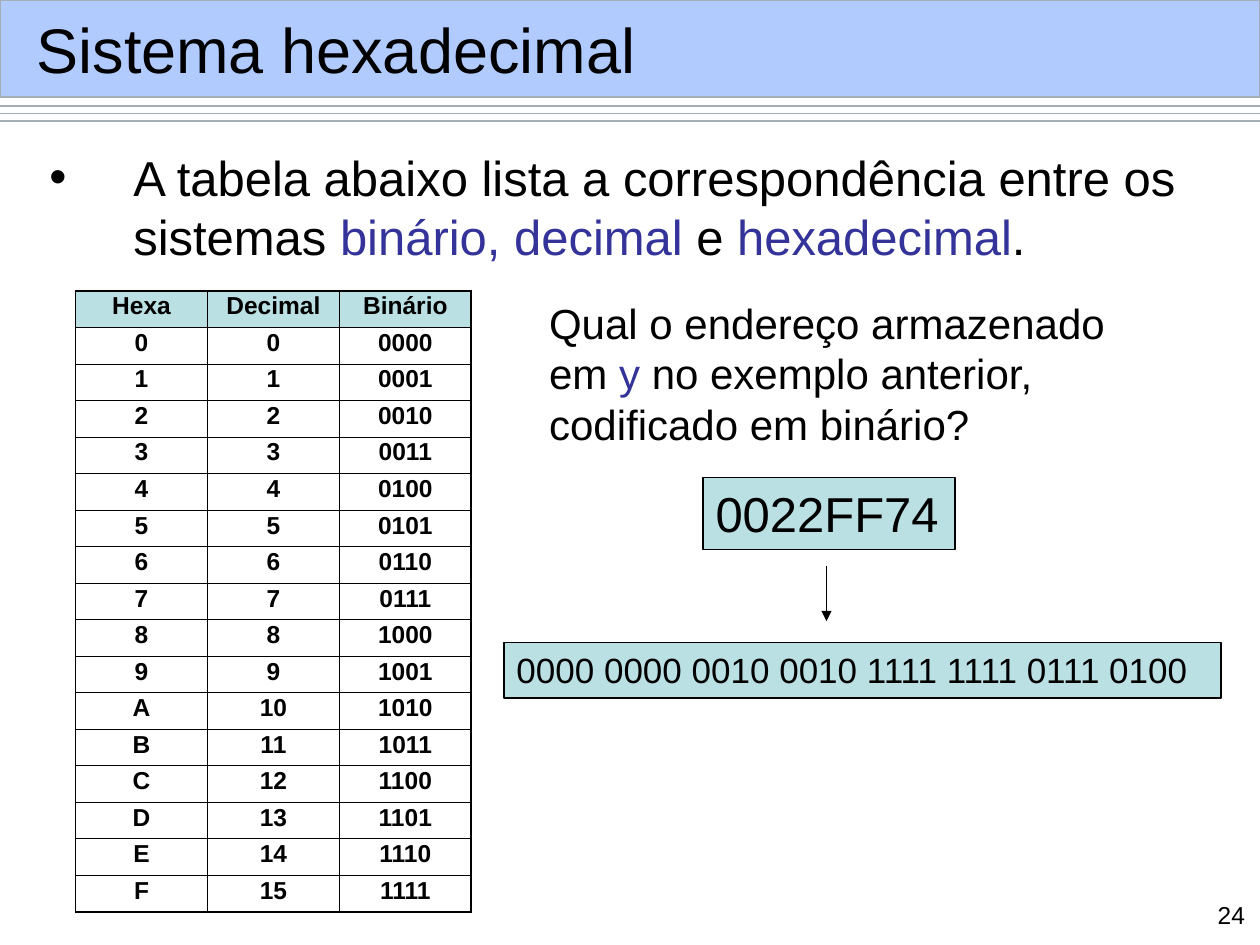
import pptx
import pptx.util
import pptx.dml.color
import pptx.enum.shapes
import pptx.enum.text
import pptx.oxml
import pptx.oxml.ns
from pptx.util import Pt

BLACK, WHITE, ACCENT = "000000", "FFFFFF", "333399"
TEAL, BLUE, GREY = "BBE0E3", "6699FF", "A3AEB7"
FONT = "Arial"
THICK, THIN = 1.08, 0.45

TITLE = "Sistema hexadecimal"
INTRO = [
    ("A tabela abaixo lista a correspondência entre os sistemas ", BLACK),
    ("binário, decimal ", ACCENT),
    ("e", BLACK),
    (" hexadecimal", ACCENT),
    (".", BLACK),
]
QUESTION = [
    [("Qual o endereço armazenado", BLACK)],
    [("em ", BLACK), ("y ", ACCENT), ("no exemplo anterior,", BLACK)],
    [("codificado em binário?", BLACK)],
]
HEX_ADDRESS = "0022FF74"
BINARY_ADDRESS = " ".join(f"{int(digit, 16):04b}" for digit in HEX_ADDRESS)
PAGE = "24"
CONVERSION = [("Hexa", "Decimal", "Binário")]
CONVERSION += [(f"{n:X}", str(n), f"{n:04b}") for n in range(16)]


def rgb(value):
    return pptx.dml.color.RGBColor.from_string(value)


def write(paragraph, runs, size, bold=False):
    """Fill a paragraph with (text, colour) runs."""
    for text, colour in runs:
        run = paragraph.add_run()
        run.text = text
        run.font.name, run.font.size, run.font.bold = FONT, Pt(size), bold
        run.font.color.rgb = rgb(colour)


def add_line(x1, y1, x2, y2, colour):
    line = slide.shapes.add_connector(
        pptx.enum.shapes.MSO_CONNECTOR.STRAIGHT, Pt(x1), Pt(y1), Pt(x2), Pt(y2))
    line.line.color.rgb = rgb(colour)
    line.line.width = Pt(0.75)
    pptx.oxml.ns.qn("a:effectLst")
    line._element.spPr.append(make_element("<a:effectLst %s/>"))
    return line


def make_element(xml):
    return pptx.oxml.parse_xml(xml % pptx.oxml.ns.nsdecls("a"))


def add_box(left, top, width, height, fill, line):
    box = slide.shapes.add_shape(
        pptx.enum.shapes.MSO_SHAPE.RECTANGLE, Pt(left), Pt(top), Pt(width), Pt(height))
    box.shadow.inherit = False
    box.fill.solid()
    box.fill.fore_color.rgb = rgb(fill)
    box.line.color.rgb = rgb(line)
    box.line.width = Pt(0.75)
    return box


def add_address(left, top, width, height, address, size):
    box = add_box(left, top, width, height, TEAL, BLACK)
    frame = box.text_frame
    frame.word_wrap = False
    frame.vertical_anchor = pptx.enum.text.MSO_ANCHOR.TOP
    frame.paragraphs[0].alignment = pptx.enum.text.PP_ALIGN.LEFT
    write(frame.paragraphs[0], [(address, BLACK)], size)


def set_borders(cell, widths):
    """Draw the left, right, top and bottom borders, in that order."""
    properties = cell._tc.get_or_add_tcPr()
    for position, (side, width) in enumerate(zip("LRTB", widths)):
        properties.insert(position, make_element(
            f'<a:ln{side} %s w="{int(Pt(width))}"><a:solidFill>'
            f'<a:srgbClr val="{BLACK}"/></a:solidFill></a:ln{side}>'))


def add_conversion_table(left, top, column_width, row_height):
    rows, columns = len(CONVERSION), len(CONVERSION[0])
    table = slide.shapes.add_table(
        rows, columns, Pt(left), Pt(top),
        Pt(column_width * columns), Pt(row_height * rows)).table
    table.first_row = table.horz_banding = False
    for column in table.columns:
        column.width = Pt(column_width)
    for r, values in enumerate(CONVERSION):
        table.rows[r].height = Pt(row_height)
        for c, value in enumerate(values):
            cell = table.cell(r, c)
            if r == 0:
                cell.fill.solid()
                cell.fill.fore_color.rgb = rgb(TEAL)
            else:
                cell.fill.background()
            outer = (c == 0, c == columns - 1, r == 0, r == rows - 1)
            set_borders(cell, [THICK if edge else THIN for edge in outer])
            paragraph = cell.text_frame.paragraphs[0]
            paragraph.alignment = pptx.enum.text.PP_ALIGN.CENTER
            paragraph.line_spacing = 0.8
            write(paragraph, [(value, BLACK)], 14, bold=True)


def place(shape, left, top, width, height):
    shape.left, shape.top = Pt(left), Pt(top)
    shape.width, shape.height = Pt(width), Pt(height)
    shape.text_frame.auto_size = pptx.enum.text.MSO_AUTO_SIZE.NONE


presentation = pptx.Presentation()
presentation.slide_width, presentation.slide_height = Pt(720), Pt(540)
slide = presentation.slides.add_slide(presentation.slide_layouts[1])
title, intro = slide.placeholders

# Header band and rules, behind the placeholders
for y in (60.5, 64.8, 69.1):
    add_line(0, y, 720, y, GREY)
band = add_box(0, 0, 720, 55.5, BLUE, GREY)
band.fill._xPr.find(".//" + pptx.oxml.ns.qn("a:srgbClr")).append(
    make_element('<a:alpha %s val="50000"/>'))
for placeholder in (intro, title):
    slide.shapes.element.append(placeholder._element)

place(title, 13.7, 6.5, 694, 42.5)
title.text_frame.vertical_anchor = pptx.enum.text.MSO_ANCHOR.MIDDLE
title.text_frame.paragraphs[0].alignment = pptx.enum.text.PP_ALIGN.LEFT
write(title.text_frame.paragraphs[0], [(TITLE, BLACK)], 36)

place(intro, 21, 80.6, 681, 443.5)
bullet = intro.text_frame.paragraphs[0]
bullet.space_before = Pt(0)
bullet_properties = bullet._p.get_or_add_pPr()
bullet_properties.set("marL", str(Pt(48)))
bullet_properties.set("indent", str(Pt(-48)))
bullet_properties.append(make_element(
    f'<a:buClr %s><a:srgbClr val="{BLACK}"/></a:buClr>'))
bullet_properties.append(make_element('<a:buChar %s char="•"/>'))
write(bullet, INTRO, 28)

question = slide.shapes.add_textbox(Pt(306.7), Pt(166.3), Pt(338.4), Pt(93.6)).text_frame
question.word_wrap = False
for index, runs in enumerate(QUESTION):
    write(question.add_paragraph() if index else question.paragraphs[0], runs, 24)

add_address(401.8, 272.9, 144, 41, HEX_ADDRESS, 28)
add_address(288, 367.2, 409.7, 31.7, BINARY_ADDRESS, 20)
arrow = add_line(472.3, 323.3, 472.3, 355, BLACK)
arrow.line._get_or_add_ln().append(make_element('<a:tailEnd %s type="triangle"/>'))

add_conversion_table(43.2, 166.3, 75.4, 20.88)

page = slide.shapes.add_textbox(Pt(653), Pt(510.5), Pt(65.5), Pt(18.7)).text_frame
page.word_wrap = True
page.paragraphs[0].alignment = pptx.enum.text.PP_ALIGN.RIGHT
write(page.paragraphs[0], [(PAGE, BLACK)], 14)

presentation.save("out.pptx")
